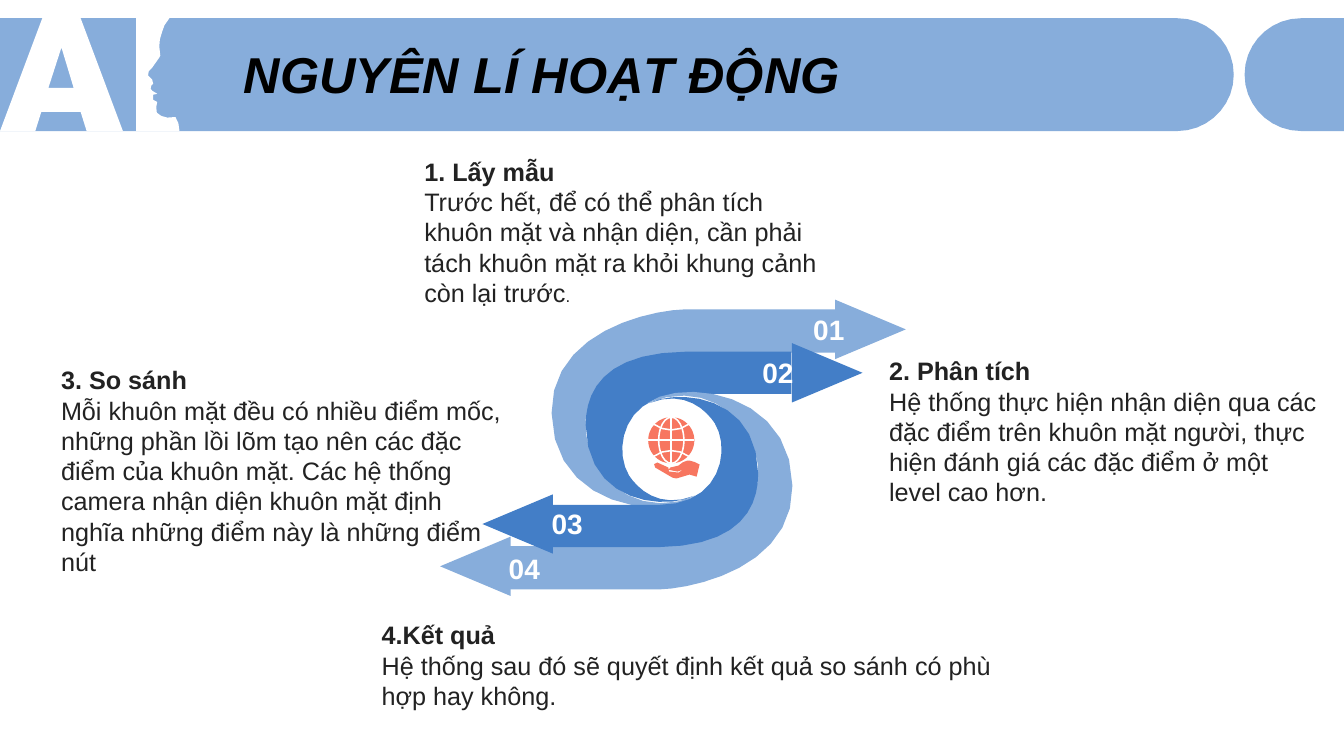
from math import ceil, dist
from lxml.etree import SubElement
from pptx import Presentation
from pptx.dml.color import RGBColor
from pptx.enum.shapes import MSO_CONNECTOR as Connector, MSO_SHAPE as Preset
from pptx.enum.text import MSO_ANCHOR as Anchor, MSO_AUTO_SIZE as AutoSize, PP_ALIGN as Align
from pptx.oxml.ns import qn
from pptx.util import Pt

COLORS = {"light": "87ADDB", "deep": "437EC7", "coral": "F77660",
          "white": "FFFFFF", "ink": "222222", "title": "000000"}
FONT = "Arial"

LETTER_A = [(30.2, 0), (57.6, 0), (87.8, 80.6), (61.9, 80.6), (57.6, 67),
            (29.5, 67), (25.2, 80.6), (0, 80.6)]
LETTER_HOLE = [(43.9, 20.9), (34.6, 49.7), (52.6, 49.7)]
FACE_PROFILE = [
    (97.2, 0), (121, 0), (117.5, 5), (115.9, 9.4), (114.2, 15), (113.8, 20.2),
    (114.5, 26.6), (113.8, 28.1), (108.7, 35.3), (106.2, 38), (105.8, 41),
    (108.7, 43.9), (109.4, 46.8), (108, 48.2), (107.6, 50.4), (108.7, 51.8),
    (112.3, 54), (109.4, 54.7), (109.4, 58.3), (112.3, 59.8), (111.6, 63.4),
    (112, 67.5), (115.2, 69.8), (119.5, 71), (125.3, 70.6), (127.4, 74.9),
    (128.2, 80.6), (97.2, 80.6)]
OUTER_BAND = [
    (9, -100), (116.3, -100), (116.3, -69.1), (9.7, -69.1),
    (-23.4, -69.1, -56.5, -56.9, -61.6, -21.6), (-64.4, 15.1, -29.2, 52.6, 17.6, 33.1),
    (-6.8, 51.1, -85.3, 41.8, -86, -25.9), (-86.8, -84.2, -15.5, -99.4, 9, -100)]
INNER_BAND = [
    (16.2, 33.1), (-4, 43.2, -60.8, 39.6, -61.6, -17.3),
    (-61.6, -39.6, -50.8, -69.1, 9.7, -69.8), (85.3, -69.8), (85.3, -39.6), (9, -39.6),
    (-34.9, -39.6, -42.1, 0, -30.6, 18.7), (-24.8, 27.4, -9.7, 43.2, 16.2, 33.1)]
HAND = [
    (29.5, 31), (33, 32), (36.7, 33.8), (34.6, 42.5), (29.5, 41), (20.2, 43.8),
    (17.3, 43.2), (5, 36), (4.2, 33.6), (6.5, 32.4), (14.4, 36), (14.8, 38.8),
    (21.6, 39.6), (25.2, 37.4), (20.9, 38.9), (14.6, 37.6), (15.8, 36),
    (21.6, 34.6), (24.8, 32.2), (28.1, 31)]
STEPS = [
    ((296, 108, 297, 131), "1. Lấy mẫu",
     "Trước hết, để có thể phân tích khuôn mặt và nhận diện, cần phải tách khuôn mặt "
     "ra khỏi khung cảnh còn lại trước", "."),
    ((628, 250.5, 325.5, 117), "2. Phân tích",
     "Hệ thống thực hiện nhận diện qua các đặc điểm trên khuôn mặt người, thực hiện "
     "đánh giá các đặc điểm ở một level cao hơn.", ""),
    ((36.5, 257, 328.5, 160), "3. So sánh",
     "Mỗi khuôn mặt đều có nhiều điểm mốc, những phần lồi lõm tạo nên các đặc điểm của "
     "khuôn mặt. Các hệ thống camera nhận diện khuôn mặt định nghĩa những điểm này là "
     "những điểm nút", ""),
    ((265.5, 439, 480, 73), "4.Kết quả",
     "Hệ thống sau đó sẽ quyết định kết quả so sánh có phù hợp hay không.", "")]


def rgb(name):
    return RGBColor.from_string(COLORS[name])


def flatten(outline):
    points = []
    for step in outline:
        if len(step) == 2:
            points.append(step)
            continue
        knots = [points[-1], step[:2], step[2:4], step[4:]]
        pieces = min(10, ceil(sum(map(dist, knots, knots[1:])) / 8))
        for index in range(1, pieces + 1):
            t = index / pieces
            weights = ((1 - t) ** 3, 3 * t * (1 - t) ** 2, 3 * t * t * (1 - t), t ** 3)
            points.append(tuple(sum(w * value for w, value in zip(weights, axis))
                                for axis in zip(*knots)))
    return points


def paint(shape, fill=None, line=None):
    shape.shadow.inherit = False
    if fill:
        shape.fill.solid()
        shape.fill.fore_color.rgb = rgb(fill)
    else:
        shape.fill.background()
    if line:
        shape.line.color.rgb = rgb(line)
        shape.line.width = Pt(1.1)
    else:
        shape.line.fill.background()


def draw_outline(page, origin, outlines, fill=None, line=None, sign=1):
    contours = [[(Pt(origin[0] + sign * x), Pt(origin[1] + sign * y))
                 for x, y in flatten(outline)] for outline in outlines]
    builder = page.shapes.build_freeform(*contours[0][0])
    for index, points in enumerate(contours):
        if index:
            builder.move_to(*points[0])
        builder.add_line_segments(points[1:], close=fill is not None)
    paint(builder.convert_to_shape(), fill, line)


def draw_preset(page, preset, box, fill=None, line=None, rotation=0):
    shape = page.shapes.add_shape(preset, *map(Pt, box))
    shape.rotation = rotation
    paint(shape, fill, line)


def draw_line(page, start, end, color):
    line = page.shapes.add_connector(Connector.STRAIGHT, *map(Pt, start + end))
    line.line.color.rgb = rgb(color)
    line.line.width = Pt(1.1)
    SubElement(line.element.spPr, qn("a:effectLst"))


def style(para, size, color, bold=False):
    para.font.name = FONT
    para.font.size = Pt(size)
    para.font.bold = bold
    para.font.color.rgb = rgb(color)


def add_text_box(page, box):
    frame = page.shapes.add_textbox(*map(Pt, box)).text_frame
    frame.word_wrap = True
    frame.auto_size = AutoSize.SHAPE_TO_FIT_TEXT
    return frame


def banner(page, box):
    left, top, width, height = box
    radius, bend = height / 2, height * 0.224
    end, start = 881.3, 889
    bar = [(0, 0), (end - radius, 0),
           (end - bend, 0, end, bend, end, radius),
           (end, height - bend, end - bend, height, end - radius, height), (0, height)]
    pill = [(width, 0), (width, height), (start + radius, height),
            (start + bend, height, start, height - bend, start, radius),
            (start, bend, start + bend, 0, start + radius, 0)]
    draw_outline(page, (left, top), [bar], "light")
    draw_outline(page, (left, top), [LETTER_A, LETTER_HOLE, FACE_PROFILE], "white")
    draw_outline(page, (left, top), [pill], "light")

    title = page.shapes.title
    title.element.getparent().append(title.element)
    title.left, title.top = Pt(left + 167), Pt(top + 13.6)
    title.width, title.height = Pt(769.7), Pt(56.9)
    frame = title.text_frame
    frame.text = "NGUYÊN LÍ HOẠT ĐỘNG"
    frame.vertical_anchor = Anchor.MIDDLE
    frame.auto_size = AutoSize.NONE
    para = frame.paragraphs[0]
    para.alignment = Align.LEFT
    para.line_spacing = 0.9
    style(para, 36, "title", True)
    para.font.italic = True


def globe(page, box):
    left, top, size, _ = box
    middle = size / 2
    draw_preset(page, Preset.OVAL, (left, top, size, size), "coral")
    draw_preset(page, Preset.OVAL, (left + 7.5, top, size - 15, size), line="white")
    draw_line(page, (left + middle, top), (left + middle, top + size), "white")
    draw_line(page, (left, top + middle), (left + size, top + middle), "white")
    for edge, bow in ((5, 10.5), (size - 5, size - 10.5)):
        latitude = [(4, edge), (11, bow, size - 11, bow, size - 4, edge)]
        draw_outline(page, (left, top), [latitude], line="white")
    draw_outline(page, (left, top), [HAND], "coral")


def arrow_spiral(page, box):
    left, top, width, height = box
    center = (left + width / 2, top + height / 2)
    halves = [
        (1, 90, [("light", OUTER_BAND, (141.8, -85.7), "01", (112, -85.7)),
                 ("deep", INNER_BAND, (110.9, -54.7), "02", (75.6, -54.7))]),
        (-1, 270, [("light", OUTER_BAND, (-140.4, 83.5), "04", (-105.5, 85)),
                   ("deep", INNER_BAND, (-110.2, 53.3), "03", (-74.9, 53.3))])]
    for sign, rotation, arrows in halves:
        for color, band, (x, y), _, _ in arrows:
            draw_outline(page, center, [band], color, sign=sign)
            head = (center[0] + x - 21.2, center[1] + y - 25.2, 42.4, 50.4)
            draw_preset(page, Preset.ISOSCELES_TRIANGLE, head, color, rotation=rotation)
        for _, _, _, number, (x, y) in arrows:
            frame = add_text_box(page, (center[0] + x - 30, center[1] + y - 15.8, 60, 31.6))
            frame.text = number
            frame.paragraphs[0].alignment = Align.CENTER
            style(frame.paragraphs[0], 20, "white", True)
    globe(page, (center[0] - 17, center[1] - 23, 33, 44.6))


def step_text(page, box, heading, body, ending):
    frame = add_text_box(page, box)
    frame.text = heading
    style(frame.paragraphs[0], 18, "ink", True)
    para = frame.add_paragraph()
    style(para, 18, "ink")
    para.add_run().text = body
    if ending:
        span = para.add_run()
        span.text = ending
        span.font.size = Pt(12)


def main():
    deck = Presentation()
    deck.slide_width, deck.slide_height = Pt(960), Pt(540)
    page = deck.slides.add_slide(deck.slide_layouts[5])
    banner(page, (0, 13, 960, 80.6))
    arrow_spiral(page, (317, 211, 326, 220))
    for box, heading, body, ending in STEPS:
        step_text(page, box, heading, body, ending)
    deck.save("out.pptx")


if __name__ == "__main__":
    main()
